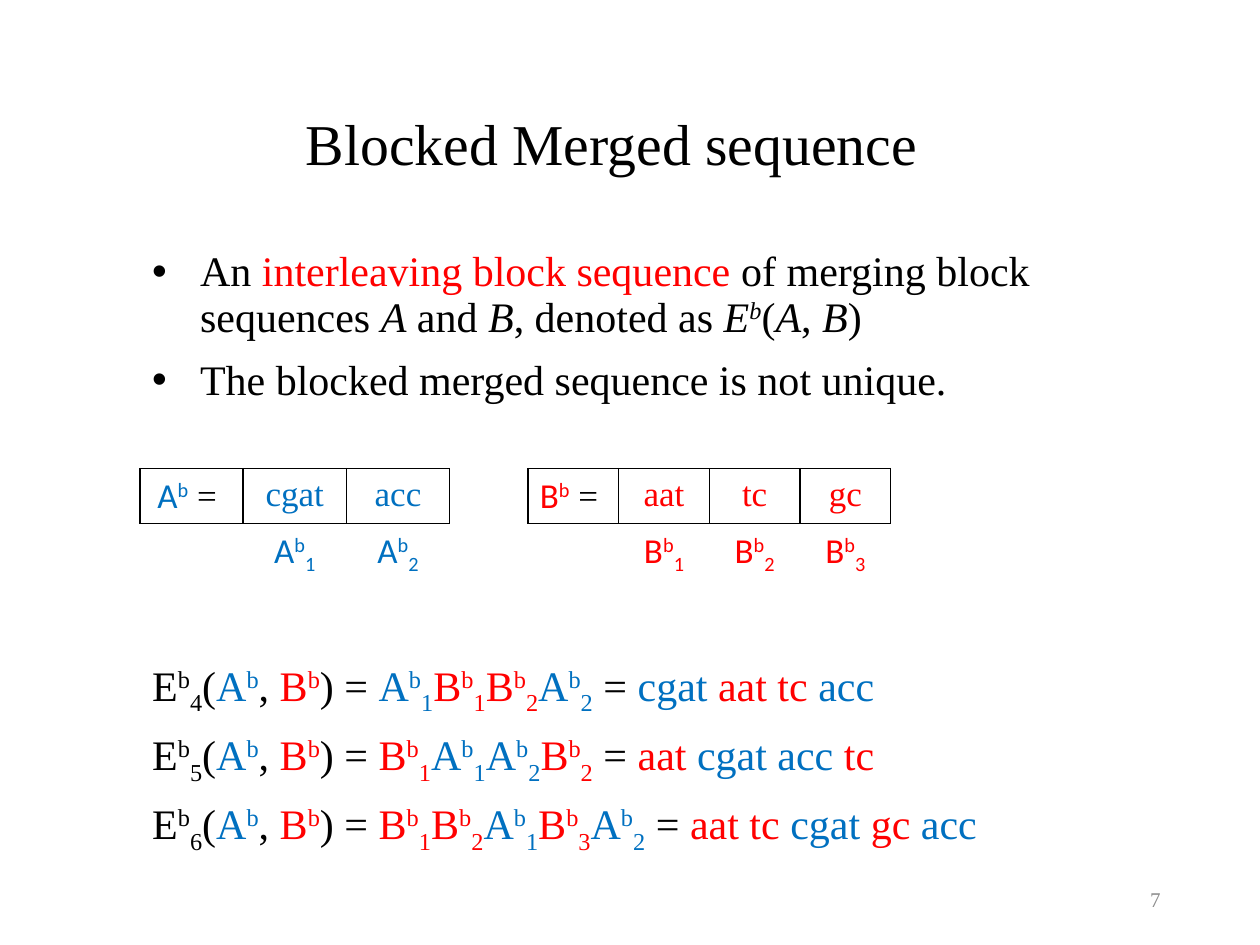
from lxml import etree
from pptx import Presentation
from pptx.dml.color import RGBColor
from pptx.enum.text import MSO_ANCHOR as Anchor, PP_ALIGN as Align
from pptx.oxml.ns import qn
from pptx.util import Inches, Pt

BLACK = RGBColor(0, 0, 0)
BLUE = RGBColor(0x00, 0x70, 0xC0)
RED = RGBColor(0xFF, 0, 0)
GRAY = RGBColor(0x8C, 0x8C, 0x8C)
COLORS = {"A": BLUE, "B": RED, "E": BLACK}
SERIF, SANS = "Times New Roman", "Calibri"

BLOCKS = {"A1": "cgat", "A2": "acc", "B1": "aat", "B2": "tc", "B3": "gc"}
MERGES = {4: "A1 B1 B2 A2", 5: "B1 A1 A2 B2", 6: "B1 B2 A1 B3 A2"}


def add_run(p, text, size=24, color=BLACK, font=SERIF, italic=False, baseline=0):
    r = p.add_run()
    r.text = text
    r.font.size, r.font.name = Pt(size), font
    r.font.color.rgb = color
    r.font.italic = italic
    if baseline:
        r._r.get_or_add_rPr().set("baseline", str(baseline * 1000))


def add_term(p, name, **fmt):
    """Write a letter with superscript b and, if given, its index below."""
    letter, index = name[0], name[1:]
    fmt["color"] = COLORS[letter]
    add_run(p, letter, **fmt)
    add_run(p, "b", baseline=30, **fmt)
    if index:
        add_run(p, index, baseline=-25, **fmt)


class SlideBuilder:
    def __init__(self, prs):
        self.s = prs.slides.add_slide(prs.slide_layouts[6])

    def text_box(self, x, y, w, h, anchor=Anchor.TOP):
        tf = self.s.shapes.add_textbox(
            Inches(x), Inches(y), Inches(w), Inches(h)).text_frame
        tf.word_wrap = True
        tf.vertical_anchor = anchor
        return tf

    def paragraph(self, tf, first=False, align=Align.LEFT, bullet=False):
        p = tf.paragraphs[0] if first else tf.add_paragraph()
        p.alignment = align
        p.line_spacing = 0.9
        p.space_before = Pt(0 if first else 10)
        if bullet:
            pPr = p._p.get_or_add_pPr()
            pPr.set("marL", str(Inches(0.38)))
            pPr.set("indent", str(-Inches(0.38)))
            etree.SubElement(pPr, qn("a:buFont")).set("typeface", "Arial")
            etree.SubElement(pPr, qn("a:buChar")).set("char", "•")
        return p

    def borders(self, cell, sides):
        tcPr = cell._tc.get_or_add_tcPr()
        for side in "LRTB":
            ln = etree.SubElement(tcPr, qn(f"a:ln{side}"), w=str(Pt(1)))
            if side in sides:
                fill = etree.SubElement(ln, qn("a:solidFill"))
                etree.SubElement(fill, qn("a:srgbClr"), val=str(BLACK))
            else:
                etree.SubElement(ln, qn("a:noFill"))

    def block_table(self, letter, x, col_width):
        names = [n for n in BLOCKS if n[0] == letter]
        cols, row_height = len(names) + 1, 0.435
        table = self.s.shapes.add_table(
            2, cols, Inches(x), Inches(3.72),
            Inches(cols * col_width), Inches(2 * row_height)).table
        table.first_row = table.horz_banding = False
        for row in table.rows:
            row.height = Inches(row_height)
        for col in table.columns:
            col.width = Inches(col_width)
        for cell in table.iter_cells():
            cell.margin_left = cell.margin_right = Inches(0.05)
            cell.text_frame.paragraphs[0].alignment = Align.CENTER

        def para(row, col):
            return table.cell(row, col).text_frame.paragraphs[0]

        # Sequence name, then the blocks with their labels below
        add_term(para(0, 0), letter, size=20, font=SANS)
        add_run(para(0, 0), " = ", size=20)
        for c, name in enumerate(names, 1):
            add_run(para(0, c), BLOCKS[name], size=20, color=COLORS[letter])
            add_term(para(1, c), name, size=20, font=SANS)
        for c in range(cols):
            for r, sides in enumerate(("LRTB", "T")):
                self.borders(table.cell(r, c), sides)
                table.cell(r, c).fill.background()

    def formula(self, tf, index, order, first=False):
        p = self.paragraph(tf, first)
        add_term(p, f"E{index}")
        add_run(p, "(")
        add_term(p, "A")
        add_run(p, ", ")
        add_term(p, "B")
        add_run(p, ") = ")
        names = order.split()
        for name in names:
            add_term(p, name)
        add_run(p, " = ")
        for i, name in enumerate(names, 1):
            gap = " " if i < len(names) else ""
            add_run(p, BLOCKS[name] + gap, color=COLORS[name[0]])


def main():
    prs = Presentation()
    prs.slide_width, prs.slide_height = Inches(10), Inches(7.5)
    b = SlideBuilder(prs)

    # Title
    tf = b.text_box(2.02, 0.72, 5.67, 0.74, Anchor.BOTTOM)
    add_run(b.paragraph(tf, True, Align.CENTER), "Blocked Merged sequence", size=33)

    # Definition
    tf = b.text_box(1.11, 1.94, 7.5, 1.5)
    p = b.paragraph(tf, True, bullet=True)
    add_run(p, "An ")
    add_run(p, "interleaving block sequence", color=RED)
    add_run(p, " of merging block sequences ")
    add_run(p, "A", italic=True)
    add_run(p, " and ")
    add_run(p, "B", italic=True)
    add_run(p, ", denoted as ")
    add_run(p, "E", italic=True)
    add_run(p, "b", italic=True, baseline=30)
    for text in ("(", "A", ", ", "B", ")"):
        add_run(p, text, italic=text.isalpha())
    p = b.paragraph(tf, bullet=True)
    add_run(p, "The blocked merged sequence is not unique.")

    # Block sequences
    b.block_table("A", 1.11, 0.82)
    b.block_table("B", 4.19, 0.72)

    # Merged sequences
    tf = b.text_box(1.11, 5.19, 7.5, 1.7)
    for i, (index, order) in enumerate(MERGES.items()):
        b.formula(tf, index, order, first=i == 0)

    # Slide number
    tf = b.text_box(7.06, 6.95, 2.25, 0.4, Anchor.MIDDLE)
    add_run(b.paragraph(tf, True, Align.RIGHT), "7", size=12, color=GRAY)

    prs.save("out.pptx")


if __name__ == "__main__":
    main()
